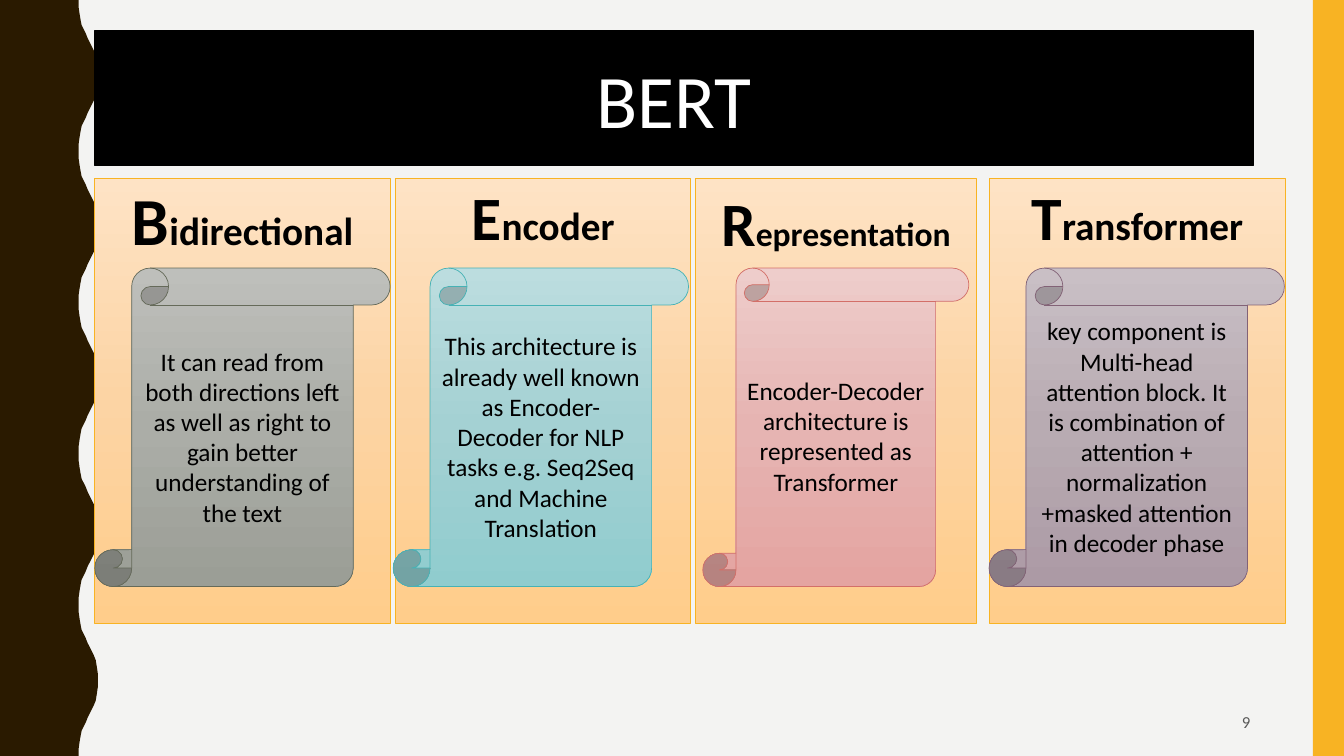
from copy import deepcopy

from pptx import Presentation
from pptx.dml.color import RGBColor as RGB
from pptx.enum.shapes import MSO_SHAPE as SHAPE
from pptx.enum.text import MSO_ANCHOR as ANCHOR, PP_ALIGN as ALIGN
from pptx.oxml.ns import qn
from pptx.util import Inches, Pt

BACKGROUND = RGB(0xF3, 0xF3, 0xF2)
BROWN = RGB(0x2A, 0x1A, 0x00)
GOLD = RGB(0xF8, 0xB3, 0x23)
BLACK = RGB(0x00, 0x00, 0x00)
WHITE = RGB(0xFF, 0xFF, 0xFF)
GREY = RGB(0x59, 0x59, 0x59)
PEACH = [RGB(0xFE, 0xE3, 0xC5), RGB(0xFC, 0xD4, 0xA4), RGB(0xFF, 0xCD, 0x8B)]
OLIVE = [RGB(0xBE, 0xBF, 0xBB), RGB(0xAB, 0xAD, 0xA7), RGB(0x9B, 0x9E, 0x96)]
OLIVE_LINE = RGB(0x65, 0x6A, 0x59)
TEAL = [RGB(0xBC, 0xDD, 0xDF), RGB(0xA4, 0xD1, 0xD3), RGB(0x90, 0xCC, 0xCE)]
TEAL_LINE = RGB(0x46, 0xB2, 0xB5)
ROSE = [RGB(0xEE, 0xCD, 0xCB), RGB(0xE6, 0xB4, 0xB2), RGB(0xE4, 0xA4, 0xA1)]
ROSE_LINE = RGB(0xD3, 0x6F, 0x68)
MAUVE = [RGB(0xC9, 0xBF, 0xC5), RGB(0xB8, 0xAB, 0xB2), RGB(0xAC, 0x9A, 0xA5)]
MAUVE_LINE = RGB(0x82, 0x62, 0x76)

presentation = Presentation()
presentation.slide_width = Inches(13.33)
presentation.slide_height = Inches(7.5)
slide = presentation.slides.add_slide(presentation.slide_layouts[6])
slide.background.fill.solid()
slide.background.fill.fore_color.rgb = BACKGROUND


def add_box(kind, left, top, width, height, colors, line_color=None, line_width=0.5):
    shape = slide.shapes.add_shape(
        kind, Inches(left), Inches(top), Inches(width), Inches(height))
    shape.shadow.inherit = False
    if len(colors) == 1:
        shape.fill.solid()
        shape.fill.fore_color.rgb = colors[0]
    else:
        shape.fill.gradient()
        shape.fill.gradient_angle = 270
        stop_list = shape.element.spPr.find(qn("a:gradFill")).find(qn("a:gsLst"))
        stop_list.insert(1, deepcopy(stop_list[0]))
        for stop, color, position in zip(shape.fill.gradient_stops, colors, (0, 0.5, 1)):
            stop.color.rgb = color
            stop.position = position
    if line_color is None:
        shape.line.fill.background()
    else:
        shape.line.color.rgb = line_color
        shape.line.width = Pt(line_width)
    return shape


def write(shape, runs, color, align=ALIGN.CENTER, anchor=ANCHOR.MIDDLE, bold=False):
    frame = shape.text_frame
    frame.word_wrap = True
    frame.vertical_anchor = anchor
    paragraph = frame.paragraphs[0]
    paragraph.alignment = align
    for text, size in runs:
        run = paragraph.add_run()
        run.text = text
        run.font.name = "Calibri"
        run.font.size = Pt(size)
        run.font.bold = bold
        run.font.color.rgb = color


half_wave = [(78, 0), (78, 7), (79, 14), (80, 20), (81, 25), (83, 29), (85, 33), (87, 38),
             (89, 42), (91, 46), (93, 50), (95, 55), (96, 61), (97, 68), (97, 75)]
wave = half_wave + [(x, 150 - y) for x, y in reversed(half_wave[:-1])]
edge = [(x, y + 150 * period) for period in range(5) for x, y in wave]
builder = slide.shapes.build_freeform(0, 0, scale=Inches(0.01))
builder.add_line_segments(edge + [(0, 750)], close=True)
wavy_band = builder.convert_to_shape()
wavy_band.shadow.inherit = False
wavy_band.fill.solid()
wavy_band.fill.fore_color.rgb = BROWN
wavy_band.line.fill.background()

add_box(SHAPE.RECTANGLE, 13.02, 0, 0.31, 7.5, [GOLD])
title = add_box(SHAPE.RECTANGLE, 0.94, 0.31, 11.49, 1.33, [BLACK], BLACK, 1)
write(title, [("BERT", 54)], WHITE)

panels = [
    (0.94, 2.93, 0, [("B", 48), ("idirectional", 28)]),
    (3.92, 2.93, 0, [("E", 44), ("ncoder", 28)]),
    (6.9, 2.78, 0.06, [("R", 44), ("epresentation", 24)]),
    (9.81, 2.94, 0, [("T", 44), ("ransformer", 28)]),
]
for left, width, inset, heading in panels:
    panel = add_box(SHAPE.RECTANGLE, left, 1.77, width, 4.41, PEACH, GOLD)
    panel.text_frame.margin_top = Inches(inset)
    write(panel, heading, BLACK, anchor=ANCHOR.TOP, bold=True)

scrolls = [
    (0.94, 2.93, OLIVE, OLIVE_LINE,
     "It can read from both directions left as well as right to gain better "
     "understanding of the text"),
    (3.9, 2.93, TEAL, TEAL_LINE,
     "This architecture is already well known as Encoder-Decoder for NLP tasks "
     "e.g. Seq2Seq and Machine Translation"),
    (6.97, 2.64, ROSE, ROSE_LINE,
     "Encoder-Decoder architecture is represented as Transformer"),
    (9.81, 2.93, MAUVE, MAUVE_LINE,
     "key component is Multi-head attention block. It is combination of attention + "
     "normalization +masked attention in decoder phase"),
]
for left, width, colors, line_color, text in scrolls:
    scroll = add_box(SHAPE.VERTICAL_SCROLL, left, 2.66, width, 3.16, colors, line_color)
    write(scroll, [(text, 18)], BLACK)

page_number = slide.shapes.add_textbox(Inches(9.42), Inches(6.97), Inches(3.08), Inches(0.38))
write(page_number, [("9", 12)], GREY, align=ALIGN.RIGHT)

presentation.save("out.pptx")
